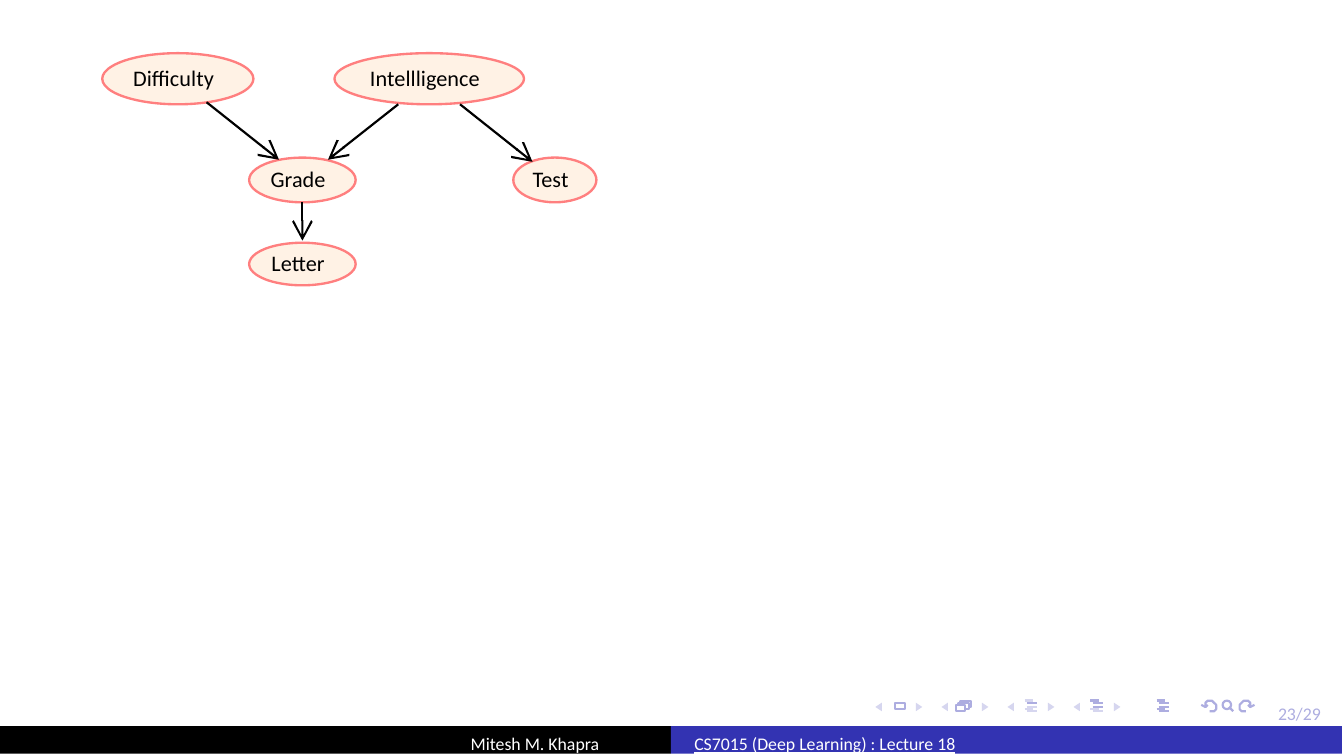
"""Build a slide with a small Bayesian network and a lecture footer."""
from dataclasses import dataclass

from lxml import etree
from pptx import Presentation
from pptx.dml.color import RGBColor
from pptx.enum.shapes import MSO_CONNECTOR, MSO_SHAPE
from pptx.enum.text import MSO_ANCHOR, PP_ALIGN
from pptx.oxml.ns import qn
from pptx.shapes.autoshape import Shape
from pptx.shapes.shapetree import SlideShapes
from pptx.util import Inches, Pt

OVAL = MSO_SHAPE.OVAL
RECT = MSO_SHAPE.RECTANGLE
LINE = MSO_CONNECTOR.STRAIGHT
MIDDLE = MSO_ANCHOR.MIDDLE
CENTER = PP_ALIGN.CENTER

FONT = "Calibri"
COLORS = {
    "ink": "000000",
    "white": "FFFFFF",
    "cream": "FFF2E5",
    "coral": "FF7F7F",
    "blue": "3333B2",
    "lilac": "ADADE0",
    "pale": "D6D6EF",
}
UNIT = Inches(0.01)

Points = list[tuple[int, int]]


@dataclass
class Node:
    name: str
    x: float
    y: float
    w: float
    h: float


@dataclass
class Edge:
    x1: float
    y1: float
    x2: float
    y2: float


@dataclass
class Label:
    text: str
    x: float
    y: float
    w: float
    color: str
    under: bool = False


@dataclass
class Menu:
    x: int
    bright: tuple[int, ...]


NODES = [
    Node("Difficulty", 0.48, 0.25, 0.71, 0.24),
    Node("Intellligence", 1.57, 0.25, 0.89, 0.24),
    Node("Grade", 1.17, 0.74, 0.5, 0.21),
    Node("Test", 2.41, 0.74, 0.39, 0.21),
    Node("Letter", 1.17, 1.14, 0.5, 0.2),
]
EDGES = [
    Edge(0.97, 0.48, 1.31, 0.75),
    Edge(1.87, 0.49, 1.54, 0.75),
    Edge(2.16, 0.49, 2.5, 0.76),
    Edge(1.42, 0.95, 1.42, 1.13),
]
LABELS = [
    Label("23/29", 5.99, 3.29, 0.28, "lilac"),
    Label("Mitesh M. Khapra", 2.2, 3.43, 0.85, "white"),
    Label("CS7015 (Deep Learning) : Lecture 18", 3.25, 3.43, 1.7, "white", True),
]
ROWS = [(0, 329, 4), (1, 330, 5), (1, 332, 5), (0, 333, 4), (1, 334, 5)]
MENUS = [Menu(481, (1,)), Menu(512, (0, 1, 2)), Menu(543, (0, 1, 2, 3, 4))]
PAGES: list[Points] = [
    [(449, 334), (453, 334), (453, 331), (449, 331), (449, 334)],
    [(450, 331), (450, 330), (455, 330), (455, 333), (453, 333)],
    [(451, 330), (451, 329), (456, 329), (456, 332), (455, 332)],
]
UNDO: list[Points] = [
    [(568, 334), (570, 334), (571, 333), (571, 331), (570, 330), (569, 329),
     (567, 329), (566, 330), (566, 332)],
    [(567, 331), (566, 332), (564, 331)],
]
REDO: list[Points] = [[(1153 - x, y) for x, y in part] for part in UNDO]


def rgb(name: str) -> RGBColor:
    return RGBColor.from_string(COLORS[name])


def paint(shape: Shape, fill: str = "", edge: str = "", width: float = 0.75) -> None:
    shape.shadow.inherit = False
    if fill:
        shape.fill.solid()
        shape.fill.fore_color.rgb = rgb(fill)
    else:
        shape.fill.background()
    if edge:
        shape.line.color.rgb = rgb(edge)
        shape.line.width = Pt(width)
    else:
        shape.line.fill.background()


def add_box(shapes: SlideShapes, kind: int, x: float, y: float, w: float, h: float) -> Shape:
    return shapes.add_shape(kind, Inches(x), Inches(y), Inches(w), Inches(h))


def add_line(shapes: SlideShapes, edge: Edge, color: str, arrow: bool = False) -> None:
    ends = (Inches(v) for v in (edge.x1, edge.y1, edge.x2, edge.y2))
    line = shapes.add_connector(LINE, *ends)
    line.line.color.rgb = rgb(color)
    line.line.width = Pt(0.75)
    if arrow:
        etree.SubElement(line.line._get_or_add_ln(), qn("a:tailEnd"), type="arrow")
    etree.SubElement(line._element.spPr, qn("a:effectLst"))


def trace(shapes: SlideShapes, parts: list[Points], fill: str = "", edge: str = "") -> None:
    pen = shapes.build_freeform(*parts[0][0], scale=UNIT)
    for part in parts:
        pen.move_to(*part[0])
        pen.add_line_segments(part[1:], close=False)
    paint(pen.convert_to_shape(), fill, edge)


def add_node(shapes: SlideShapes, node: Node) -> None:
    oval = add_box(shapes, OVAL, node.x, node.y, node.w, node.h)
    paint(oval, "cream", "coral", 0.8)
    frame = oval.text_frame
    frame.word_wrap = False
    frame.vertical_anchor = MIDDLE
    frame.margin_left = frame.margin_top = 0
    frame.margin_right, frame.margin_bottom = Inches(0.04), Inches(0.01)
    para = frame.paragraphs[0]
    para.text = node.name
    para.alignment = CENTER
    para.font.name, para.font.size = FONT, Pt(7.5)
    para.font.color.rgb = rgb("ink")


def add_label(shapes: SlideShapes, label: Label) -> None:
    box = shapes.add_textbox(Inches(label.x), Inches(label.y), Inches(label.w), Inches(0.11))
    frame = box.text_frame
    frame.word_wrap = True
    frame.margin_left = Inches(0.01)
    frame.margin_top = frame.margin_right = frame.margin_bottom = 0
    para = frame.paragraphs[0]
    para.text = label.text
    para.line_spacing = 1.12
    para.font.name, para.font.size = FONT, Pt(6)
    para.font.color.rgb = rgb(label.color)
    if label.under:
        para.font.underline = True


def add_icons(shapes: SlideShapes) -> None:
    paint(add_box(shapes, RECT, 4.2, 3.3, 0.05, 0.03), edge="lilac")
    trace(shapes, PAGES, edge="lilac")
    for x in range(411, 505, 31):
        left = [(x + 3, 330), (x, 332), (x + 3, 334)]
        right = [(x + 19, 330), (x + 22, 332), (x + 19, 334)]
        trace(shapes, [left, right], fill="pale")
    for menu in MENUS:
        for i, (dx, y, w) in enumerate(ROWS):
            x = menu.x + dx
            bar = Edge(x / 100, y / 100, (x + w) / 100, y / 100)
            add_line(shapes, bar, "lilac" if i in menu.bright else "pale")
    paint(add_box(shapes, OVAL, 5.74, 3.29, 0.04, 0.04), edge="lilac")
    add_line(shapes, Edge(5.77, 3.32, 5.79, 3.34), "lilac")
    for arc in (UNDO, REDO):
        trace(shapes, arc, edge="lilac")


def main() -> None:
    deck = Presentation()
    deck.slide_width, deck.slide_height = Inches(6.31), Inches(3.55)
    shapes = deck.slides.add_slide(deck.slide_layouts[6]).shapes
    add_icons(shapes)
    for node in NODES:
        add_node(shapes, node)
    for edge in EDGES:
        add_line(shapes, edge, "ink", arrow=True)
    for i, color in enumerate(("ink", "blue")):
        paint(add_box(shapes, RECT, i * 3.15, 3.41, 3.15, 0.13), color)
    for label in LABELS:
        add_label(shapes, label)
    deck.save("out.pptx")


if __name__ == "__main__":
    main()
